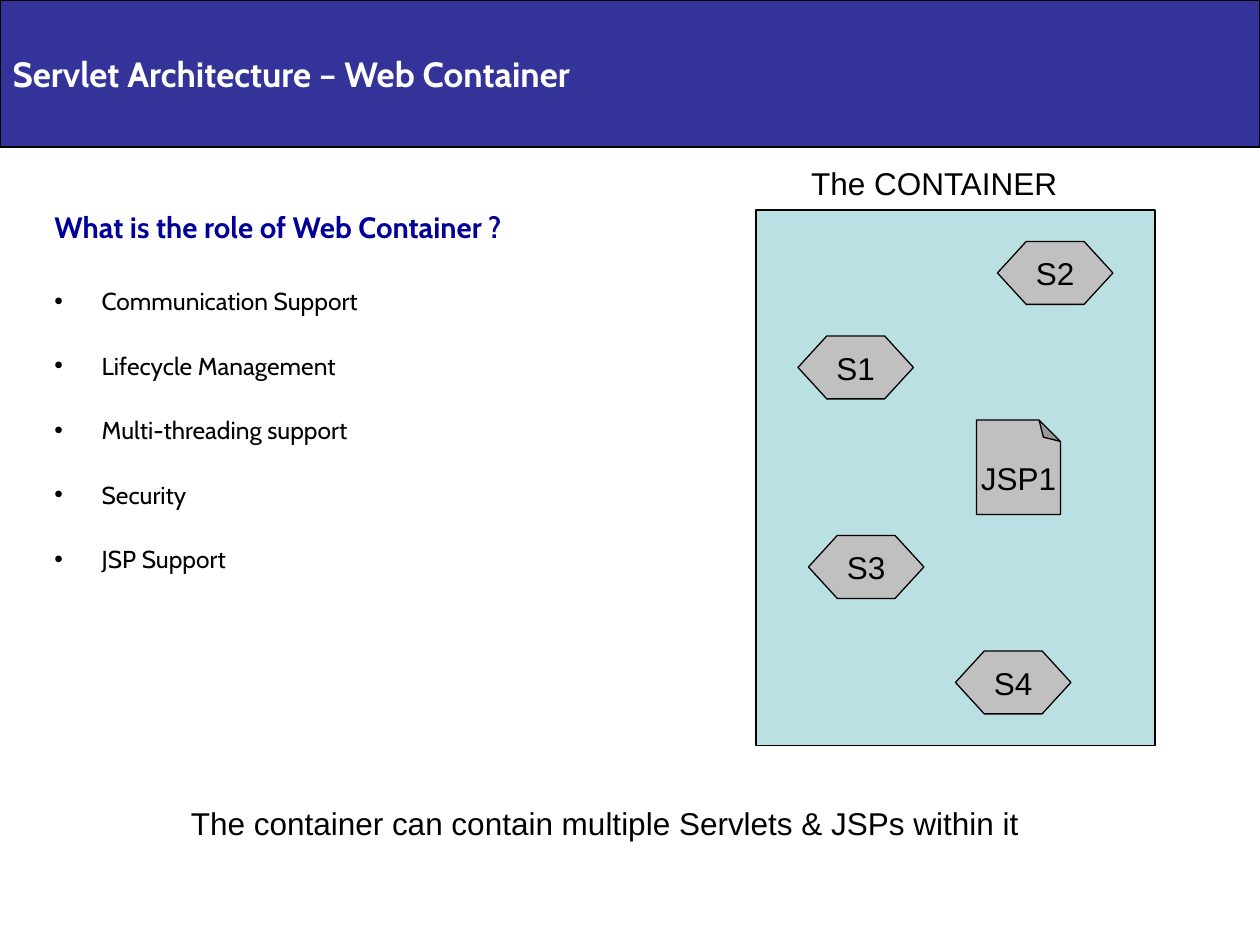
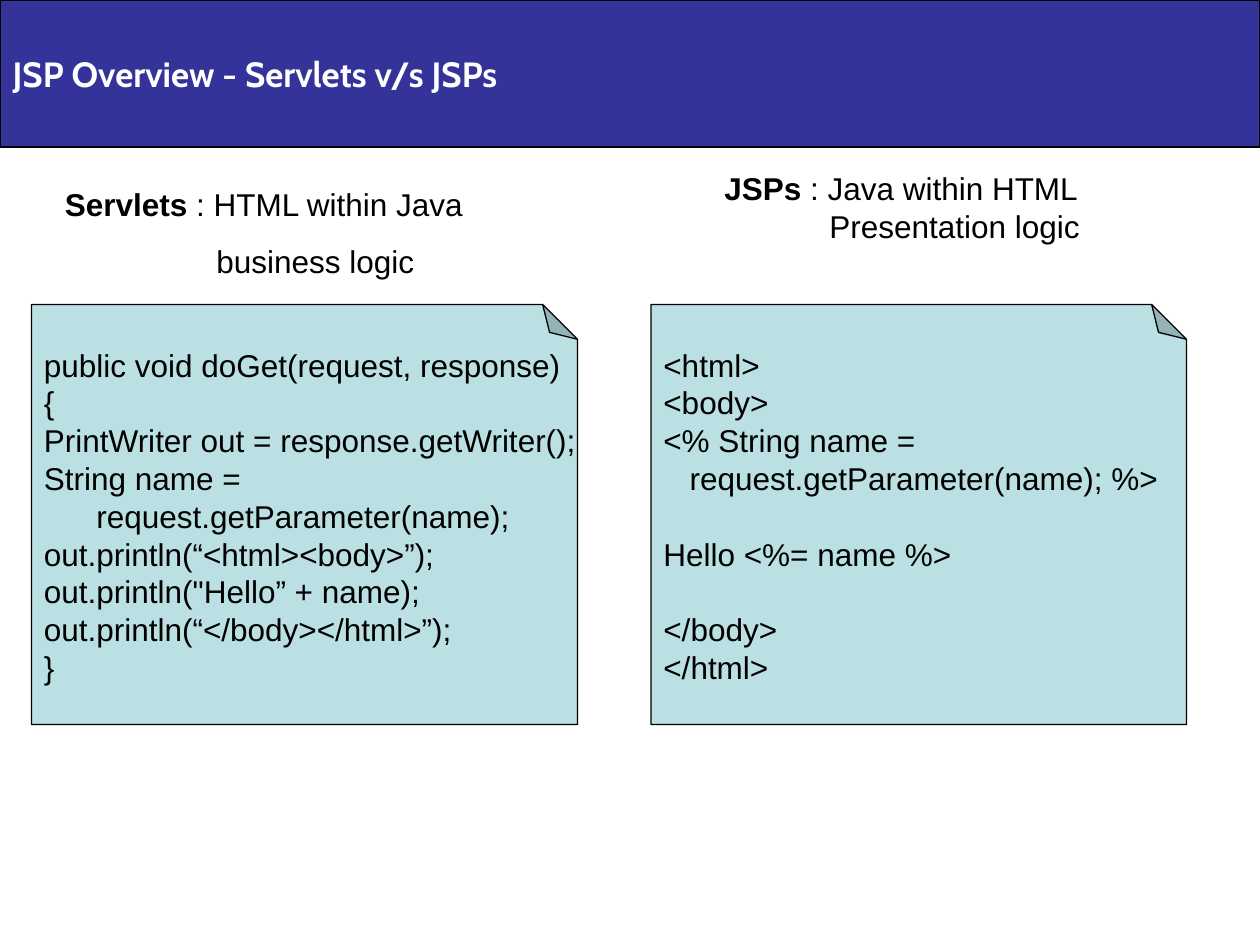
from dataclasses import dataclass

from lxml.etree import SubElement
from pptx import Presentation
from pptx.dml.color import RGBColor
from pptx.enum.shapes import MSO_SHAPE
from pptx.enum.text import MSO_ANCHOR, MSO_AUTO_SIZE, PP_ALIGN
from pptx.oxml.ns import qn
from pptx.presentation import Presentation as PresentationType
from pptx.shapes.autoshape import Shape
from pptx.slide import Slide
from pptx.text.text import TextFrame
from pptx.util import Pt


@dataclass(frozen=True)
class Theme:
    band: RGBColor = RGBColor(0x33, 0x33, 0x99)
    panel: RGBColor = RGBColor(0xBB, 0xE0, 0xE3)
    component: RGBColor = RGBColor(0xC0, 0xC0, 0xC0)
    heading: RGBColor = RGBColor(0x00, 0x00, 0x99)
    ink: RGBColor = RGBColor(0x00, 0x00, 0x00)
    white: RGBColor = RGBColor(0xFF, 0xFF, 0xFF)
    title_font: str = "Cabin"
    text_font: str = "Arial"
    title_size: float = 20
    heading_size: float = 16.8
    bullet_size: float = 14
    text_size: float = 18
    outline: float = 0.75


THEME = Theme()
BLANK_LINE = 21.6


@dataclass(frozen=True)
class Box:
    left: float
    top: float
    width: float
    height: float

    def lengths(self) -> tuple[Pt, Pt, Pt, Pt]:
        return Pt(self.left), Pt(self.top), Pt(self.width), Pt(self.height)


@dataclass(frozen=True)
class Line:
    text: str
    lead: str = ""
    indent: float = 0
    before: float = 0


@dataclass(frozen=True)
class Component:
    label: str
    left: float
    top: float


@dataclass(frozen=True)
class Comparison:
    caption_box: Box
    caption_lines: list[Line]
    code_box: Box
    code_lines: list[Line]
    caption_wraps: bool = False


COMPONENTS = [
    Component("S1", 456, 192),
    Component("S3", 462, 306),
    Component("S4", 546, 372),
    Component("S2", 570, 138),
]

CONTAINER_ROLES = [
    "Communication Support",
    "Lifecycle Management",
    "Multi-threading support",
    "Security",
    "JSP Support",
]

COMPARISONS = [
    Comparison(
        Box(30, 102, 282, 62),
        [
            Line(" : HTML within Java", lead="Servlets", before=11.2),
            Line("business logic", indent=86.6, before=11.2),
        ],
        Box(18, 174, 312, 240),
        [
            Line("public void doGet(request, response)"),
            Line("{"),
            Line("PrintWriter out = response.getWriter();"),
            Line("String name ="),
            Line("request.getParameter(name);", indent=30),
            Line("out.println(“<html><body>”);"),
            Line('out.println("Hello” + name);'),
            Line("out.println(“</body></html>”);"),
            Line("}"),
        ],
        caption_wraps=True,
    ),
    Comparison(
        Box(406.8, 93, 217.4, 50.4),
        [
            Line(" : Java within HTML", lead="JSPs"),
            Line("Presentation logic", indent=60),
        ],
        Box(372, 174, 306, 240),
        [
            Line("<html>"),
            Line("<body>"),
            Line("<% String name ="),
            Line("request.getParameter(name); %>", indent=15),
            Line("Hello <%= name %>", before=BLANK_LINE),
            Line("</body>", before=BLANK_LINE),
            Line("</html>"),
        ],
    ),
]


def add_paragraph(
    text_frame: TextFrame,
    text: str,
    *,
    lead: str = "",
    font: str = THEME.text_font,
    size: float = THEME.text_size,
    color: RGBColor = THEME.ink,
    bold: bool = False,
    align: PP_ALIGN = PP_ALIGN.LEFT,
    indent: float = 0,
    hanging: float = 0,
    before: float = 0,
    line_spacing: float | None = None,
    bullet: str = "",
) -> None:
    first = text_frame.paragraphs[0]
    paragraph = text_frame.add_paragraph() if first.runs else first
    paragraph.alignment = align
    paragraph.space_before = Pt(before)
    paragraph.line_spacing = line_spacing
    properties = paragraph._p.get_or_add_pPr()
    properties.set("marL", str(Pt(indent)))
    properties.set("indent", str(-Pt(hanging)))
    if bullet:
        SubElement(properties, qn("a:buFont")).set("typeface", THEME.text_font)
        SubElement(properties, qn("a:buChar")).set("char", bullet)
    for content, is_bold in ((lead, True), (text, bold)):
        if content:
            run = paragraph.add_run()
            run.text = content
            run.font.name = font
            run.font.size = Pt(size)
            run.font.bold = is_bold
            run.font.color.rgb = color


def add_lines(text_frame: TextFrame, lines: list[Line]) -> None:
    for line in lines:
        add_paragraph(
            text_frame, line.text, lead=line.lead, indent=line.indent, before=line.before
        )


def paint(shape: Shape, fill: RGBColor) -> None:
    shape.fill.solid()
    shape.fill.fore_color.rgb = fill
    shape.line.color.rgb = THEME.ink
    shape.line.width = Pt(THEME.outline)


def add_painted_shape(
    slide: Slide,
    kind: MSO_SHAPE,
    box: Box,
    fill: RGBColor,
    anchor: MSO_ANCHOR = MSO_ANCHOR.MIDDLE,
) -> Shape:
    shape = slide.shapes.add_shape(kind, *box.lengths())
    shape.shadow.inherit = False
    paint(shape, fill)
    shape.text_frame.word_wrap = False
    shape.text_frame.vertical_anchor = anchor
    return shape


def add_page(
    slide: Slide, box: Box, fill: RGBColor, fold: float, anchor: MSO_ANCHOR
) -> TextFrame:
    page = add_painted_shape(slide, MSO_SHAPE.FOLDED_CORNER, box, fill, anchor)
    properties = page._element.spPr
    properties.find(qn("a:xfrm")).set("flipV", "1")
    guide = SubElement(properties.find(qn("a:prstGeom")).get_or_add_avLst(), qn("a:gd"))
    guide.set("name", "adj")
    guide.set("fmla", f"val {round(fold * 100000)}")
    page.text_frame._txBody.find(qn("a:bodyPr")).set("rot", "10800000")
    return page.text_frame


def add_text_box(slide: Slide, box: Box, wrap: bool = False) -> TextFrame:
    text_frame = slide.shapes.add_textbox(*box.lengths()).text_frame
    text_frame.word_wrap = wrap
    text_frame.auto_size = MSO_AUTO_SIZE.SHAPE_TO_FIT_TEXT
    return text_frame


def add_titled_slide(presentation: PresentationType, title_text: str) -> Slide:
    slide = presentation.slides.add_slide(presentation.slide_layouts[5])
    title = slide.shapes.title
    title.left, title.top, title.width, title.height = Box(0, 0, 720, 84).lengths()
    paint(title, THEME.band)
    title.text_frame.word_wrap = True
    title.text_frame.auto_size = MSO_AUTO_SIZE.NONE
    title.text_frame.vertical_anchor = MSO_ANCHOR.MIDDLE
    add_paragraph(
        title.text_frame,
        title_text,
        font=THEME.title_font,
        size=THEME.title_size,
        color=THEME.white,
        bold=True,
    )
    return slide


def add_roles(slide: Slide) -> None:
    roles = add_text_box(slide, Box(24, 120, 648, 356), wrap=True)
    roles.auto_size = MSO_AUTO_SIZE.NONE
    add_paragraph(
        roles,
        "What is the role of Web Container ?",
        font=THEME.title_font,
        size=THEME.heading_size,
        color=THEME.heading,
        bold=True,
        before=6,
        line_spacing=0.8,
    )
    for index, role in enumerate(CONTAINER_ROLES):
        add_paragraph(
            roles,
            role,
            font=THEME.title_font,
            size=THEME.bullet_size,
            indent=27,
            hanging=27,
            before=23.4 if index else 27.1,
            line_spacing=0.8,
            bullet="•",
        )


def build_container_slide(presentation: PresentationType) -> None:
    slide = add_titled_slide(presentation, "Servlet Architecture – Web Container")
    add_roles(slide)
    add_painted_shape(slide, MSO_SHAPE.RECTANGLE, Box(432, 120, 228, 306), THEME.panel)
    add_paragraph(add_text_box(slide, Box(456.5, 90, 156.2, 28.8)), "The CONTAINER")
    for component in COMPONENTS:
        box = Box(component.left, component.top, 66, 36)
        hexagon = add_painted_shape(slide, MSO_SHAPE.HEXAGON, box, THEME.component)
        hexagon.adjustments[0] = 0.458
        add_paragraph(hexagon.text_frame, component.label, align=PP_ALIGN.CENTER)
    page = add_page(
        slide, Box(558, 240, 48, 54), THEME.component, 0.255, MSO_ANCHOR.MIDDLE
    )
    add_paragraph(page, "JSP1", align=PP_ALIGN.CENTER)
    add_paragraph(
        add_text_box(slide, Box(102, 456, 487.4, 28.8)),
        "The container can contain multiple Servlets & JSPs within it",
        align=PP_ALIGN.CENTER,
    )


def build_comparison_slide(presentation: PresentationType) -> None:
    slide = add_titled_slide(presentation, "JSP Overview - Servlets v/s JSPs")
    for comparison in COMPARISONS:
        page = add_page(
            slide, comparison.code_box, THEME.panel, 0.083, MSO_ANCHOR.TOP
        )
        add_lines(page, comparison.code_lines)
        caption = add_text_box(slide, comparison.caption_box, comparison.caption_wraps)
        add_lines(caption, comparison.caption_lines)


def main() -> None:
    presentation = Presentation()
    presentation.slide_width, presentation.slide_height = Pt(720), Pt(540)
    build_container_slide(presentation)
    build_comparison_slide(presentation)
    presentation.save("out.pptx")


if __name__ == "__main__":
    main()
